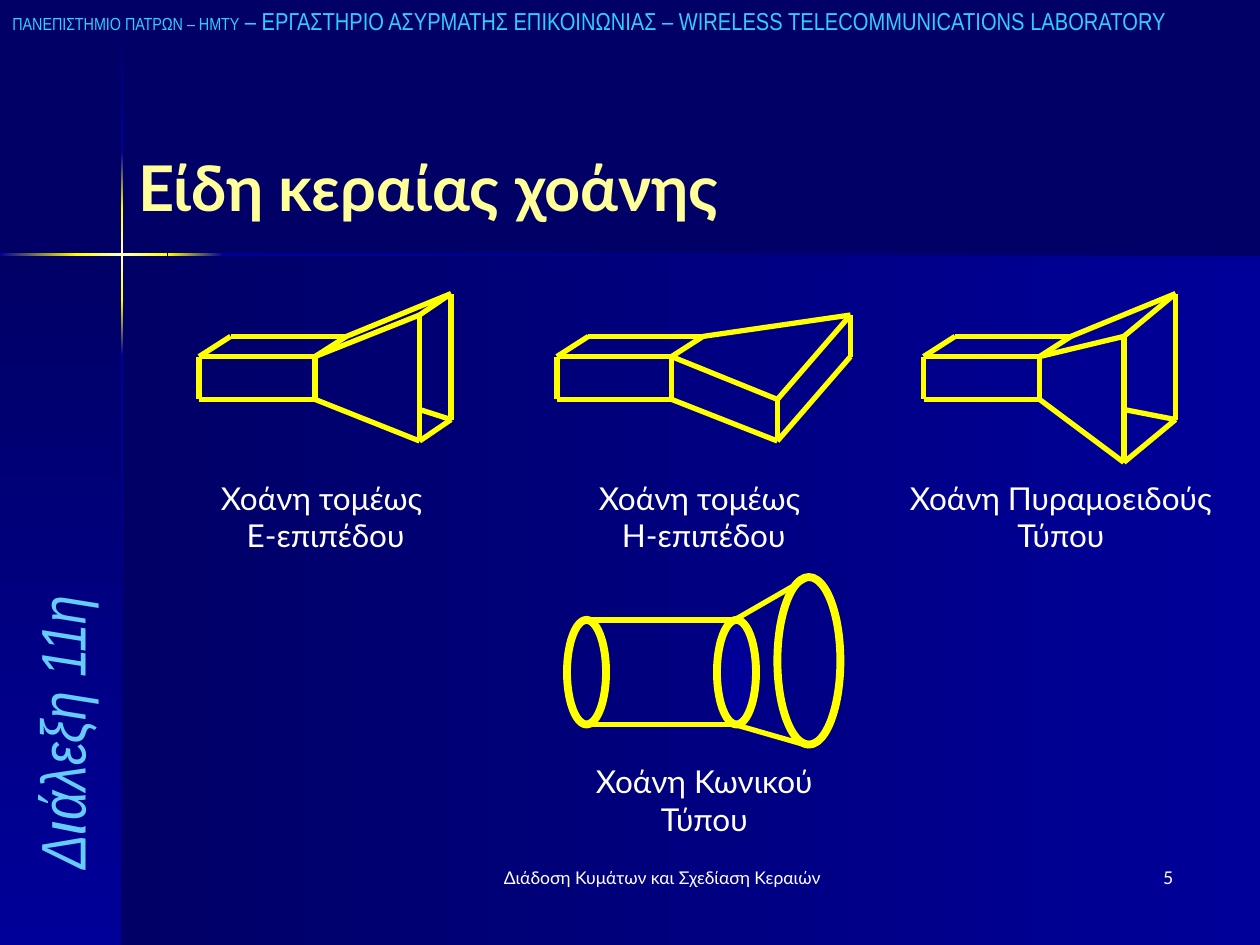
"""Build the slide on the types of horn antenna."""
from copy import deepcopy

from lxml.etree import SubElement
from pptx import Presentation
from pptx.dml.color import RGBColor
from pptx.enum.shapes import MSO_CONNECTOR as Connector, MSO_SHAPE as Shape
from pptx.enum.text import MSO_ANCHOR as Anchor, MSO_AUTO_SIZE as AutoSize, PP_ALIGN as Align
from pptx.oxml.ns import qn
from pptx.util import Inches, Pt

NIGHT, ROYAL, YELLOW, CREAM = "000066", "000099", "FFFF00", "FFFFCC"
WHITE = "FFFFFF"


def rgb(value):
    return RGBColor.from_string(value)


def apply(target, values):
    for name, value in values.items():
        setattr(target, name, value)


class HornSlide:
    def __init__(self, deck):
        self.slide = deck.slides.add_slide(deck.slide_layouts[5])
        self.shapes = self.slide.shapes
        backdrop = self.slide.background.fill
        backdrop.solid()
        backdrop.fore_color.rgb = rgb(NIGHT)

    def format_font(self, font, size, color, name="Lato", **extra):
        apply(font, {"size": Pt(size), "name": name, **extra})
        font.color.rgb = rgb(color)

    def title(self, wording, box, size, color):
        heading = self.shapes.title
        apply(heading, dict(zip(("left", "top", "width", "height"), map(Inches, box))))
        frame = heading.text_frame
        frame.text = wording
        apply(frame, {"auto_size": AutoSize.NONE, "vertical_anchor": Anchor.BOTTOM})
        frame.paragraphs[0].alignment = Align.LEFT
        self.format_font(frame.paragraphs[0].runs[0].font, size, color, bold=True)

    def text(self, lines, box, color=WHITE, align=Align.LEFT, frame_format=None,
             rotation=0, **font):
        """Add lines, each a list of (wording, size) runs."""
        holder = self.shapes.add_textbox(*map(Inches, box))
        holder.rotation = rotation
        frame = holder.text_frame
        apply(frame, {"word_wrap": True, **(frame_format or {})})
        for index, line in enumerate(lines):
            paragraph = frame.paragraphs[0] if index == 0 else frame.add_paragraph()
            paragraph.alignment = align
            for wording, size in line:
                run = paragraph.add_run()
                run.text = wording
                self.format_font(run.font, size, color, **font)

    def caption(self, lines, box):
        self.text([[(line, 18)] for line in lines], box, align=Align.CENTER,
                  frame_format={"word_wrap": False, "auto_size": AutoSize.SHAPE_TO_FIT_TEXT})

    def band(self, box, colors, angle):
        """Add a borderless rectangle with evenly spaced gradient colours."""
        strip = self.shapes.add_shape(Shape.RECTANGLE, *map(Inches, box))
        strip.shadow.inherit = False
        strip.line.fill.background()
        strip.fill.gradient()
        strip.fill.gradient_angle = angle
        stop_list = next(strip._element.spPr.iter(qn("a:gsLst")))
        for _ in colors[2:]:
            stop_list.insert(1, deepcopy(stop_list[0]))
        for index, (stop, color) in enumerate(zip(strip.fill.gradient_stops, colors)):
            stop.position = index / (len(colors) - 1)
            stop.color.rgb = rgb(color)

    def edge(self, start, end):
        stroke = self.shapes.add_connector(Connector.STRAIGHT, *map(Inches, (*start, *end)))
        stroke.line.width = Pt(3)
        stroke.line.color.rgb = rgb(YELLOW)
        SubElement(stroke._element.spPr, qn("a:effectLst"))

    def edges(self, pairs):
        for start, end in pairs:
            self.edge(start, end)

    def ring(self, box, fill=None):
        oval = self.shapes.add_shape(Shape.OVAL, *map(Inches, box))
        oval.shadow.inherit = False
        oval.line.width = Pt(4.5)
        oval.line.color.rgb = rgb(YELLOW)
        if fill:
            oval.fill.solid()
            oval.fill.fore_color.rgb = rgb(fill)
        else:
            oval.fill.background()

    def waveguide(self, left, mouth):
        """Draw the rectangular feed between two x positions."""
        top, bottom, back, depth = 2.83, 3.17, 2.67, 0.25
        self.edges([
            ((left, top), (left, bottom)),
            ((mouth, top), (mouth, bottom)),
            ((left, top), (mouth, top)),
            ((left, bottom), (mouth, bottom)),
            ((left, top), (left + depth, back)),
            ((mouth, top), (mouth + depth, back)),
            ((left + depth, back), (mouth + depth, back)),
        ])

    def flare(self, mouth, front_x, front_y, rear_x, rear_y, inner_y=None):
        """Draw the horn from the feed mouth to its front and rear aperture edges."""
        front_top, front_bottom = ((front_x, y) for y in front_y)
        rear_top, rear_bottom = ((rear_x, y) for y in rear_y)
        self.edges([
            ((mouth, 2.83), front_top),
            ((mouth, 3.17), front_bottom),
            ((mouth + 0.25, 2.67), rear_top),
            (front_top, rear_top),
            (front_bottom, rear_bottom),
            (front_bottom, front_top),
            (rear_bottom, rear_top),
        ])
        if inner_y:
            self.edge((front_x, inner_y), rear_bottom)


def main():
    deck = Presentation()
    deck.slide_width, deck.slide_height = Inches(10), Inches(7.5)
    page = HornSlide(deck)

    glow = [YELLOW, CREAM, YELLOW]
    page.band((0.97, 2.02, 9.03, 5.48), [ROYAL, NIGHT], 180)
    page.band((0, 2.02, 0.97, 5.48), [NIGHT, ROYAL], 270)
    for top, bottom, colors in [
        (0.01, 1.21, [NIGHT, ROYAL]), (1.21, 1.65, [ROYAL, YELLOW]), (1.65, 2.38, glow),
        (2.38, 2.82, [YELLOW, ROYAL]), (2.82, 7.5, [ROYAL, NIGHT]),
    ]:
        page.band((0.96, top, 0.02, bottom - top), colors, 270)
    for left, right, colors in [
        (0, 0.61, [YELLOW, ROYAL]), (0.6, 1.33, glow),
        (1.33, 1.77, [ROYAL, YELLOW]), (1.77, 10, [NIGHT, ROYAL]),
    ]:
        page.band((left, 2.01, right - left, 0.02), colors, 180)

    page.text([[("Διάλεξη 11η", 36)]], (-1.42, 4.75, 3.83, 0.67), "66CCFF",
              frame_format={"vertical_anchor": Anchor.BOTTOM}, rotation=270,
              name="Arial Narrow", italic=True)
    page.title("Είδη κεραίας χοάνης", (1, 0.93, 9, 0.9), 36, "FFFF99")

    horns = [
        (1.58, 2.5, (3.33, (2.5, 3.5), 3.58, (2.33, 3.33), 3.25)),
        (4.42, 5.33, (6.17, (3.17, 3.5), 6.75, (2.5, 2.83))),
        (7.33, 8.25, (8.92, (2.67, 3.67), 9.33, (2.33, 3.33), 3.25)),
    ]
    for left, mouth, aperture in horns:
        page.waveguide(left, mouth)
        page.flare(mouth, *aperture)

    page.caption(["Χοάνη τομέως ", "Ε-επιπέδου"], (1.62, 3.75, 1.93, 0.7))
    page.caption(["Χοάνη τομέως ", "Η-επιπέδου"], (4.62, 3.75, 1.93, 0.7))
    page.caption(["Χοάνη Πυραμοειδούς", "Τύπου"], (7.05, 3.75, 2.74, 0.7))

    page.ring((6.17, 4.58, 0.5, 1.33))
    page.ring((4.5, 4.92, 0.31, 0.83))
    throat_top, throat_bottom = (5.83, 4.92), (5.83, 5.75)
    page.edges([
        (throat_top, throat_bottom),
        ((4.67, 4.92), throat_top),
        ((4.67, 5.75), throat_bottom),
    ])
    page.ring((5.69, 4.92, 0.31, 0.83), ROYAL)
    page.edges([(throat_top, (6.42, 4.58)), (throat_bottom, (6.42, 5.92))])
    page.caption(["Χοάνη Κωνικού", "Τύπου"], (4.58, 6, 2.02, 0.7))

    page.text([[
        ("ΠΑΝΕΠΙΣΤΗΜΙΟ ΠΑΤΡΩΝ – ΗΜΤΥ", 10),
        (" – ΕΡΓΑΣΤΗΡΙΟ ΑΣΥΡΜΑΤΗΣ ΕΠΙΚΟΙΝΩΝΙΑΣ – WIRELESS TELECOMMUNICATIONS LABORATORY", 14),
    ]], (0, 0, 11.17, 0.33), "33CCFF", name="Arial Narrow")
    page.text([[("Διάδοση Κυμάτων και Σχεδίαση Κεραιών", 10)]], (3.67, 6.83, 3.17, 0.5),
              align=Align.CENTER)
    page.text([[("5", 10)]], (7.33, 6.83, 2.08, 0.5), align=Align.RIGHT)
    deck.save("out.pptx")


if __name__ == "__main__":
    main()
